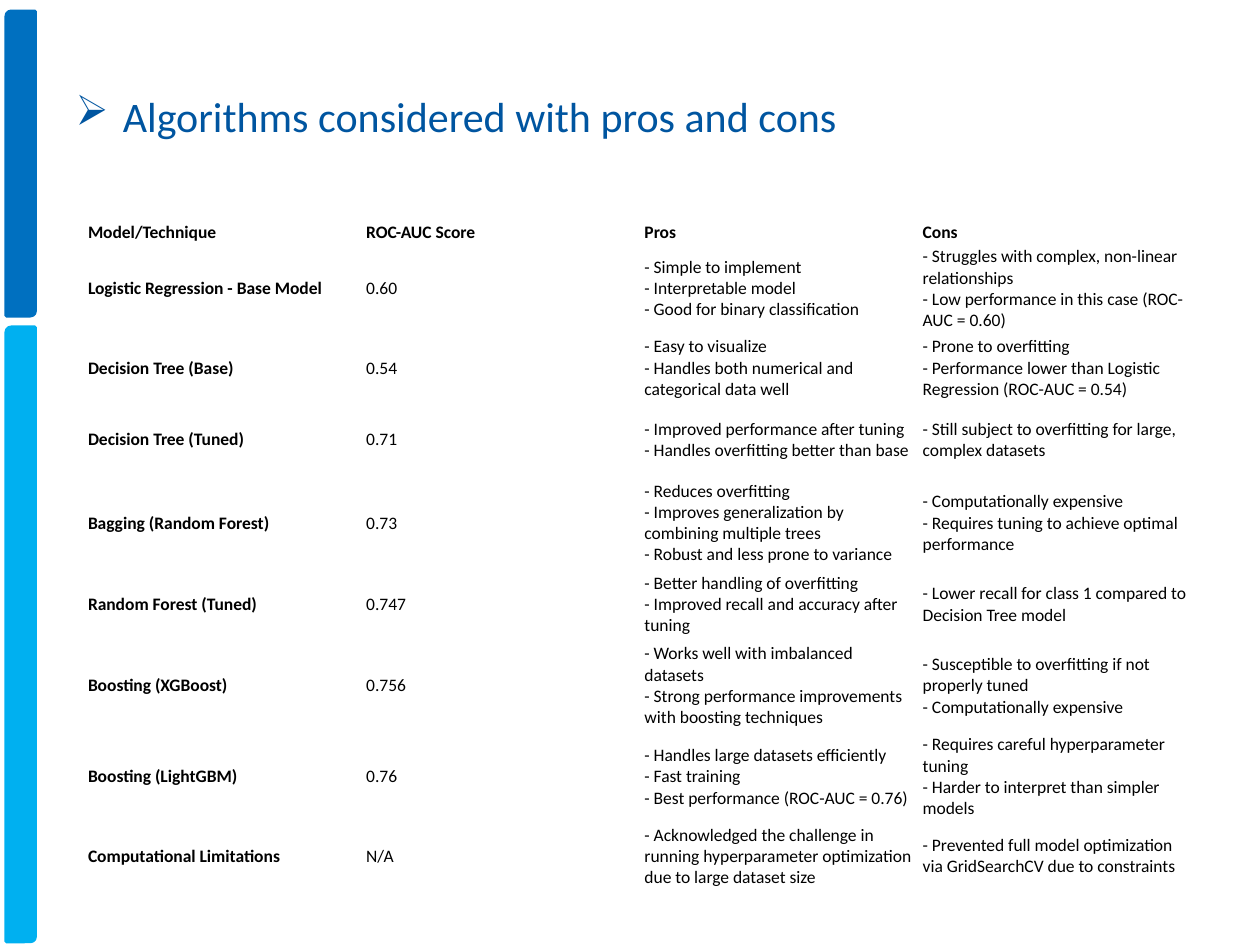
from lxml.etree import SubElement
from pptx import Presentation
from pptx.dml.color import RGBColor
from pptx.enum.shapes import MSO_SHAPE as Shape
from pptx.enum.text import MSO_ANCHOR as Anchor, PP_ALIGN as Align
from pptx.oxml.ns import qn
from pptx.util import Pt

DARK_BLUE = RGBColor(0x00, 0x70, 0xC0)
LIGHT_BLUE = RGBColor(0x00, 0xB0, 0xF0)
TITLE_BLUE = RGBColor(0x00, 0x55, 0xA0)
BLACK = RGBColor(0x00, 0x00, 0x00)
FONT = "Calibri"

COLUMN_WIDTH = 159
ROW_HEIGHTS = [14, 50, 41, 41, 54, 39, 54, 50, 41]
ROWS = [
    ("Model/Technique", "ROC-AUC Score", "Pros", "Cons"),
    ("Logistic Regression - Base Model", "0.60",
     "- Simple to implement\n- Interpretable model\n- Good for binary classification",
     "- Struggles with complex, non-linear relationships\n"
     "- Low performance in this case (ROC-AUC = 0.60)"),
    ("Decision Tree (Base)", "0.54",
     "- Easy to visualize\n- Handles both numerical and categorical data well",
     "- Prone to overfitting\n"
     "- Performance lower than Logistic Regression (ROC-AUC = 0.54)"),
    ("Decision Tree (Tuned)", "0.71",
     "- Improved performance after tuning\n- Handles overfitting better than base",
     "- Still subject to overfitting for large, complex datasets"),
    ("Bagging (Random Forest)", "0.73",
     "- Reduces overfitting\n"
     "- Improves generalization by combining multiple trees\n"
     "- Robust and less prone to variance",
     "- Computationally expensive\n"
     "- Requires tuning to achieve optimal performance"),
    ("Random Forest (Tuned)", "0.747",
     "- Better handling of overfitting\n"
     "- Improved recall and accuracy after tuning",
     "- Lower recall for class 1 compared to Decision Tree model"),
    ("Boosting (XGBoost)", "0.756",
     "- Works well with imbalanced datasets\n"
     "- Strong performance improvements with boosting techniques",
     "- Susceptible to overfitting if not properly tuned\n"
     "- Computationally expensive"),
    ("Boosting (LightGBM)", "0.76",
     "- Handles large datasets efficiently\n- Fast training\n"
     "- Best performance (ROC-AUC = 0.76)",
     "- Requires careful hyperparameter tuning\n"
     "- Harder to interpret than simpler models"),
    ("Computational Limitations", "N/A",
     "- Acknowledged the challenge in running hyperparameter optimization "
     "due to large dataset size",
     "- Prevented full model optimization via GridSearchCV due to constraints"),
]


def add_span(para, text, size, color, bold=False):
    span = para.add_run()
    span.text = text
    span.font.name = FONT
    span.font.size = Pt(size)
    span.font.bold = bold
    span.font.color.rgb = color


def add_bar(page, top, height, color):
    bar = page.shapes.add_shape(
        Shape.ROUND_2_DIAG_RECTANGLE, Pt(3.6), Pt(top), Pt(16.5), Pt(height))
    bar.shadow.inherit = False
    bar.fill.solid()
    bar.fill.fore_color.rgb = color
    bar.line.color.rgb = color
    bar.line.width = Pt(2)


def set_title(page, text):
    title = page.shapes.title
    title.left, title.top, title.width, title.height = Pt(36), Pt(21), Pt(648), Pt(90)
    title.text_frame.vertical_anchor = Anchor.MIDDLE
    para = title.text_frame.paragraphs[0]
    para.alignment = Align.LEFT
    # Hanging arrow bullet
    properties = para._p.get_or_add_pPr()
    properties.set("marL", str(Pt(27)))
    properties.set("indent", str(-Pt(27)))
    SubElement(properties, qn("a:buChar")).set("char", "➢")
    add_span(para, text, 24, TITLE_BLUE)


def fill_cell(cell, text, bold):
    cell.fill.background()
    cell.vertical_anchor = Anchor.MIDDLE
    cell.margin_left = cell.margin_right = Pt(2)
    cell.margin_top = cell.margin_bottom = Pt(0.7)
    para = cell.text_frame.paragraphs[0]
    for index, line in enumerate(text.split("\n")):
        if index:
            para.add_line_break()
        add_span(para, line, 10, BLACK, bold)


def add_comparison_table(page):
    column_count = len(ROWS[0])
    table = page.shapes.add_table(
        len(ROWS), column_count, Pt(48.3), Pt(126),
        Pt(COLUMN_WIDTH * column_count), Pt(sum(ROW_HEIGHTS))).table
    table.first_row = table.horz_banding = False
    for column in table.columns:
        column.width = Pt(COLUMN_WIDTH)
    for row, height, texts in zip(table.rows, ROW_HEIGHTS, ROWS):
        row.height = Pt(height)
        for index, (cell, text) in enumerate(zip(row.cells, texts)):
            fill_cell(cell, text, bold=index == 0 or texts is ROWS[0])


def main():
    deck = Presentation()
    deck.slide_width, deck.slide_height = Pt(720), Pt(540)
    page = deck.slides.add_slide(deck.slide_layouts[5])

    # Side bars
    add_bar(page, 6.5, 174, DARK_BLUE)
    add_bar(page, 187, 351, LIGHT_BLUE)

    # Title and table
    set_title(page, "Algorithms considered with pros and cons")
    add_comparison_table(page)

    deck.save("out.pptx")


if __name__ == "__main__":
    main()
